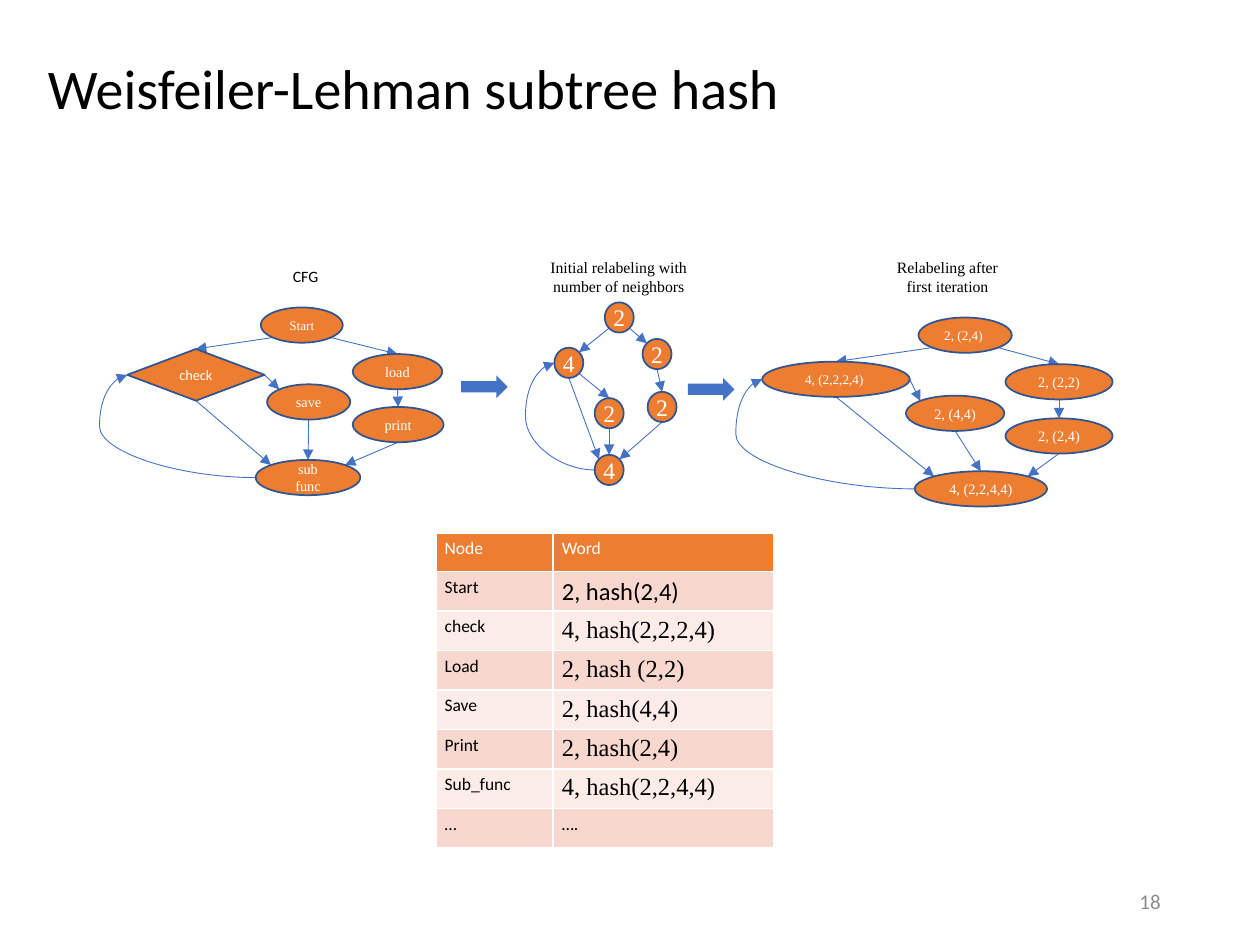
from lxml import etree
from pptx import Presentation
from pptx.dml.color import RGBColor
from pptx.enum import shapes as sh, text as tx
from pptx.oxml import ns
from pptx.util import Inches, Pt

SERIF, SANS = "Times New Roman", "Calibri"
ORANGE, BLUE, NAVY = "ED7D31", "4472C4", "325491"
WHITE, BLACK, GRAY = "FFFFFF", "000000", "8C8C8C"
BANDS = ["F8D7CE", "FCECE8"]

# node: (label, left, top, width, height, text size)
FLOW = {
    "start": ("Start", 2.07, 2.44, 0.65, 0.28, 7.5),
    "load": ("load", 2.8, 2.81, 0.71, 0.28, 8.2),
    "print": ("print", 2.8, 3.23, 0.72, 0.28, 8.2),
    "sub": ("sub\nfunc", 2.03, 3.65, 0.83, 0.28, 8.2),
    "save": ("save", 2.12, 3.05, 0.66, 0.28, 8.2),
    "check": ("check", 1.01, 2.77, 1.09, 0.41, 8.2),
}
COUNTS = {
    "start": ("2", 4.8, 2.4, 0.23, 0.24, 13.5),
    "check": ("4", 4.4, 2.76, 0.23, 0.24, 13.5),
    "load": ("2", 5.1, 2.69, 0.23, 0.24, 13.5),
    "print": ("2", 5.14, 3.11, 0.23, 0.24, 13.5),
    "sub": ("4", 4.72, 3.61, 0.23, 0.24, 13.5),
    "save": ("2", 4.72, 3.16, 0.23, 0.24, 13.5),
}
HASHED = {
    "start": ("2, (2,4) ", 7.29, 2.52, 0.74, 0.28, 7.5),
    "load": ("2, (2,2)", 7.98, 2.89, 0.85, 0.28, 8.2),
    "print": ("2, (2,4)", 7.98, 3.32, 0.85, 0.28, 8.2),
    "sub": ("4, (2,2,4,4)", 7.26, 3.74, 1.05, 0.28, 8.2),
    "save": ("2, (4,4)", 7.19, 3.14, 0.78, 0.28, 8.2),
    "check": ("4, (2,2,2,4) ", 6.05, 2.87, 1.17, 0.28, 7.5),
}
# (from, to): sides of the two nodes that the arrow joins
EDGES = {
    ("start", "load"): ("se", "n"),
    ("start", "check"): ("sw", "n"),
    ("load", "print"): ("s", "n"),
    ("check", "save"): ("e", "nw"),
    ("save", "sub"): ("s", "n"),
    ("print", "sub"): ("s", "ne"),
    ("check", "sub"): ("s", "nw"),
}
ROUND = {
    ("start", "load"): ("se", "nw"),
    ("start", "check"): ("sw", "ne"),
    ("check", "save"): ("se", "n"),
}
# nodes, edges, reach of the loop back to "check"
GRAPHS = [(FLOW, EDGES, 0.22), (COUNTS, EDGES | ROUND, 0.23), (HASHED, EDGES, 0.21)]
HEADS = [
    ("CFG", 2.19, 2.07, 0.47, 0.25, SANS),
    ("Initial relabeling with number of neighbors", 4.23, 2, 1.36, 0.4, SERIF),
    ("Relabeling after first iteration", 6.94, 2, 1.16, 0.4, SERIF),
]
STEPS = [(3.66, 2.98), (5.46, 3)]
ROWS = [
    ("Node", "Word"),
    ("Start", "2, hash(2,4)"),
    ("check", "4, hash(2,2,2,4)"),
    ("Load", "2, hash (2,2)"),
    ("Save", "2, hash(4,4)"),
    ("Print", "2, hash(2,4)"),
    ("Sub_func", "4, hash(2,2,4,4)"),
    ("…", "…."),
]


def rgb(code):
    return RGBColor.from_string(code)


def box(*nums):
    return [Inches(n) for n in nums]


def write(frame, words, size, font=SANS, color=BLACK, align=None, anchor=None, inset=None, wrap=None):
    if wrap is not None:
        frame.word_wrap = wrap
    if anchor is not None:
        frame.vertical_anchor = anchor
    if inset is not None:
        frame.margin_left = frame.margin_right = Inches(inset)
        frame.margin_top = frame.margin_bottom = Inches(inset)
    for i, line in enumerate(words.split("\n")):
        para = frame.add_paragraph() if i else frame.paragraphs[0]
        para.alignment = align
        run = para.add_run()
        run.text = line
        run.font.size, run.font.name = Pt(size), font
        run.font.color.rgb = rgb(color)


def shape(kind, area, fill, line=None):
    item = slide.shapes.add_shape(kind, *box(*area))
    item.shadow.inherit = False
    item.fill.solid()
    item.fill.fore_color.rgb = rgb(fill)
    if line:
        item.line.color.rgb, item.line.width = rgb(line), Pt(1)
    else:
        item.line.fill.background()
    return item


def site(node, side):
    """Point of a node's outline at a compass side."""
    _, x, y, w, h, _ = node
    dx = ("e" in side) - ("w" in side)
    dy = ("s" in side) - ("n" in side)
    part = 0.354 if dx and dy else 0.5
    return x + w * (0.5 + part * dx), y + h * (0.5 + part * dy)


def arrow(start, end, kind=sh.MSO_CONNECTOR.STRAIGHT):
    link = slide.shapes.add_connector(kind, *box(*start, *end))
    link.line.color.rgb, link.line.width = rgb(BLUE), Pt(0.5)
    etree.SubElement(link.line._get_or_add_ln(), ns.qn("a:tailEnd"), type="triangle")
    etree.SubElement(link._element.spPr, ns.qn("a:effectLst"))
    return link


def loop(start, end, reach):
    """Curve that leaves and enters on the left, as a half-turned connector."""
    link = arrow(end, start, sh.MSO_CONNECTOR.CURVE)
    props = link._element.spPr
    props.find(ns.qn("a:xfrm")).set("rot", "10800000")
    geom = props.find(ns.qn("a:prstGeom"))
    guides = geom.find(ns.qn("a:avLst"))
    if guides is None:
        guides = etree.SubElement(geom, ns.qn("a:avLst"))
    bend = round(100000 * (1 + reach / (start[0] - end[0])))
    etree.SubElement(guides, ns.qn("a:gd"), name="adj1", fmla=f"val {bend}")


def graph(nodes, edges, reach):
    for (a, b), (out, into) in edges.items():
        arrow(site(nodes[a], out), site(nodes[b], into))
    loop(site(nodes["sub"], "w"), site(nodes["check"], "w"), reach)
    for label, *area, size in nodes.values():
        rhomb = label == "check"
        kind = sh.MSO_SHAPE.DIAMOND if rhomb else sh.MSO_SHAPE.OVAL
        item = shape(kind, area, ORANGE, NAVY)
        write(item.text_frame, label, size, font=SANS if rhomb else SERIF, color=WHITE,
              align=tx.PP_ALIGN.CENTER, anchor=tx.MSO_ANCHOR.MIDDLE, inset=0, wrap=False)


def grid():
    table = slide.shapes.add_table(len(ROWS), 2, *box(3.46, 4.23, 2.68, 2.46)).table
    for col, width in zip(table.columns, (0.93, 1.75)):
        col.width = Inches(width)
    for r, row in enumerate(ROWS):
        for c, words in enumerate(row):
            cell = table.cell(r, c)
            cell.margin_left = cell.margin_right = Inches(0.07)
            cell.margin_top = cell.margin_bottom = Inches(0.04)
            cell.fill.solid()
            cell.fill.fore_color.rgb = rgb(BANDS[(r - 1) % 2] if r else ORANGE)
            big = "hash" in words
            write(cell.text_frame, words, 14 if big else 10, font=SERIF if big and r > 1 else SANS,
                  color=BLACK if r else WHITE)


deck = Presentation()
deck.slide_width, deck.slide_height = box(10, 7.5)
slide = deck.slides.add_slide(deck.slide_layouts[5])

title = slide.shapes.title
title.left, title.top, title.width, title.height = box(0.28, 0, 8.62, 1.45)
write(title.text_frame, "Weisfeiler-Lehman subtree hash", 32, align=tx.PP_ALIGN.LEFT,
      anchor=tx.MSO_ANCHOR.MIDDLE)
title.text_frame.paragraphs[0].line_spacing = 0.9

for parts in GRAPHS:
    graph(*parts)
for words, *area, font in HEADS:
    head = slide.shapes.add_textbox(*box(*area))
    write(head.text_frame, words, 9, font=font, align=tx.PP_ALIGN.CENTER, wrap=font == SERIF)
for x, y in STEPS:
    shape(sh.MSO_SHAPE.RIGHT_ARROW, (x, y, 0.37, 0.18), BLUE)
grid()

number = slide.shapes.add_textbox(*box(7.06, 6.95, 2.25, 0.4))
write(number.text_frame, "18", 12, color=GRAY, align=tx.PP_ALIGN.RIGHT,
      anchor=tx.MSO_ANCHOR.MIDDLE, wrap=True)

deck.save("out.pptx")
